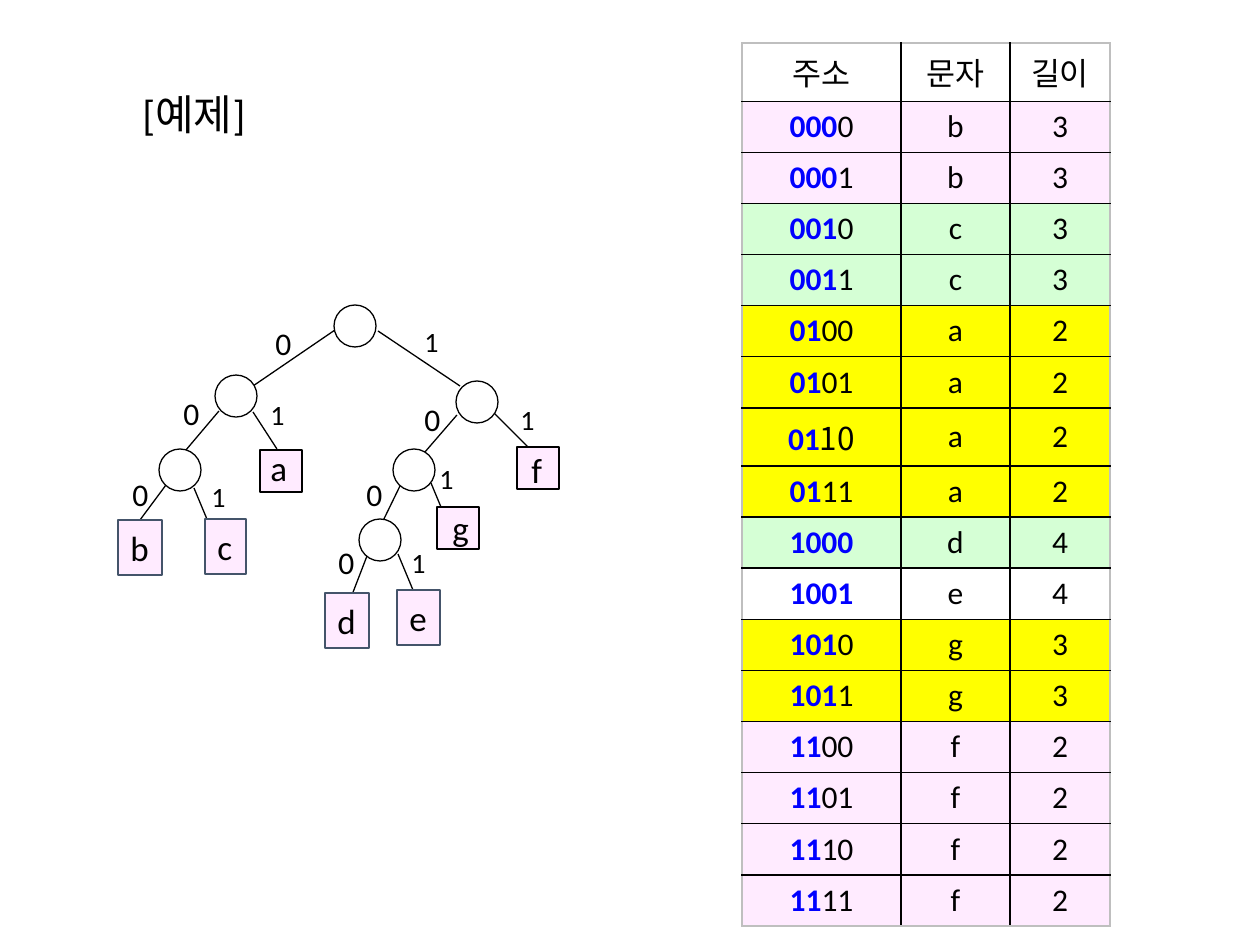
import itertools

import pptx
import pptx.dml.color
import pptx.enum.shapes
import pptx.enum.text
import pptx.oxml
import pptx.oxml.ns
import pptx.util

TITLE = "[예제]"
HEADERS = ["주소", "문자", "길이"]
ADDRESS_BITS = 4
CODES = [("b", "000", "pink"), ("c", "001", "green"), ("a", "01", "yellow"),
         ("d", "1000", "green"), ("e", "1001", "white"),
         ("g", "101", "yellow"), ("f", "11", "pink")]
KOREAN_FONT_SUFFIXES = {"0110"}  # addresses whose tail is set in the Korean font

# Lengths in px
TITLE_BOX = (105, 82, 178, 63)
TABLE_ORIGIN = (742, 43)
COLUMN_WIDTHS = [159, 109, 100]
HEADER_HEIGHT, ROW_HEIGHT = 58, 51
NODE_SIZE = 42
NODES = [(334, 305), (215, 375), (456, 381), (159, 449), (393, 449), (359, 519)]
# For each node: the 0 branch, then the 1 branch, as (from, to, label corner)
BRANCHES = [
    [((335, 330), (253, 386), (263, 318)), ((378, 331), (460, 386), (412, 318))],
    [((219, 411), (186, 450), (171, 388)), ((253, 412), (277, 449), (258, 391))],
    [((457, 415), (425, 452), (412, 394)), ((494, 413), (528, 447), (508, 396))],
    [((169, 481), (141, 520), (120, 469)), ((194, 488), (209, 524), (199, 473))],
    [((401, 484), (382, 523), (354, 469)), ((431, 483), (446, 519), (427, 455))],
    [((367, 556), (352, 595), (326, 537)), ((398, 554), (413, 590), (399, 539))],
]
LEAVES = {"b": (118, 520, 44, 55), "c": (205, 519, 41, 55),
          "d": (325, 593, 44, 55), "e": (397, 590, 43, 55)}
# Square leaves: corner of the square, then the box of its letter
SQUARE_LEAVES = {"a": ((260, 450), (258, 440, 44, 55)),
                 "f": ((517, 447), (519, 442, 37, 55)),
                 "g": ((437, 507), (440, 500, 43, 55))}
BIT_LABELS = {"0": (43, 50), "1": (39, 46)}

THEME = {
    "latin": "Calibri", "korean": "Noto Sans CJK KR",
    "black": "000000", "white": "FFFFFF", "blue": "0000FF", "slate": "44546A",
    "gray": "BFBFBF", "pink": "FFEBFF", "green": "D5FFD5", "yellow": "FFFF00",
    "title": 24, "leaf": 20, "table": 18, "0": 18, "1": 16, "line": 0.75, "border": 1,
}


def px(length):
    return pptx.util.Emu(round(length * 914400 / 126))


def box(values):
    return [px(value) for value in values]


def color(name):
    return pptx.dml.color.RGBColor.from_string(THEME[name])


def style_font(font, size, color_name="black", face="latin", bold=False):
    font.name, font.size, font.bold = THEME[face], pptx.util.Pt(THEME[size]), bold
    font.color.rgb = color(color_name)


def style_shape(shape, fill, line="black"):
    shape.shadow.inherit = False
    shape.fill.solid()
    shape.fill.fore_color.rgb = color(fill)
    shape.line.color.rgb = color(line)
    shape.line.width = pptx.util.Pt(THEME["line"])


def write(shape, text, size):
    """Put one left-aligned, unwrapped line at the top of the shape."""
    frame = shape.text_frame
    frame.word_wrap = False
    frame.vertical_anchor = pptx.enum.text.MSO_ANCHOR.TOP
    paragraph = frame.paragraphs[0]
    paragraph.text = text
    paragraph.alignment = pptx.enum.text.PP_ALIGN.LEFT
    style_font(paragraph.font, size)


def add_title(slide):
    title = slide.shapes.title
    title.left, title.top, title.width, title.height = box(TITLE_BOX)
    frame = title.text_frame
    frame.text = TITLE
    frame.auto_size = pptx.enum.text.MSO_AUTO_SIZE.NONE
    frame.vertical_anchor = pptx.enum.text.MSO_ANCHOR.TOP
    frame.paragraphs[0].alignment = pptx.enum.text.PP_ALIGN.CENTER
    style_font(frame.paragraphs[0].font, "title")


def set_borders(cell, outer_sides):
    properties = cell._tc.get_or_add_tcPr()
    width = pptx.util.Pt(THEME["border"])
    for position, side in enumerate(("L", "R", "T", "B")):
        line_color = THEME["gray" if side in outer_sides else "black"]
        properties.insert(position, pptx.oxml.parse_xml(
            f'<a:ln{side} {pptx.oxml.ns.nsdecls("a")} w="{width}"><a:solidFill>'
            f'<a:srgbClr val="{line_color}"/></a:solidFill></a:ln{side}>'))


def fill_cell(cell, runs, fill):
    """Write centred runs, each given as (text, colour, face, bold)."""
    cell.vertical_anchor = pptx.enum.text.MSO_ANCHOR.MIDDLE
    cell.fill.solid()
    cell.fill.fore_color.rgb = color(fill)
    paragraph = cell.text_frame.paragraphs[0]
    paragraph.alignment = pptx.enum.text.PP_ALIGN.CENTER
    for text, color_name, face, bold in runs:
        run = paragraph.add_run()
        run.text = text
        style_font(run.font, "table", color_name, face, bold)
        if face == "korean":
            run.font._element.append(pptx.oxml.parse_xml(
                f'<a:ea {pptx.oxml.ns.nsdecls("a")} typeface="{THEME[face]}"/>'))


def lookup_rows():
    """Expand every code to all the addresses that begin with it."""
    rows = [("white", [[(header, "black", "korean", False)] for header in HEADERS])]
    for letter, code, fill in CODES:
        for bits in itertools.product("01", repeat=ADDRESS_BITS - len(code)):
            tail = "".join(bits)
            address = [(code, "blue", "latin", True)]
            if tail:
                face = "korean" if code + tail in KOREAN_FONT_SUFFIXES else "latin"
                address.append((tail, "black", face, False))
            rows.append((fill, [address, [(letter, "black", "latin", False)],
                                [(str(len(code)), "black", "latin", False)]]))
    return rows


def add_lookup_table(slide):
    rows = lookup_rows()
    heights = [HEADER_HEIGHT] + [ROW_HEIGHT] * (len(rows) - 1)
    table = slide.shapes.add_table(len(rows), len(HEADERS), *box(
        (*TABLE_ORIGIN, sum(COLUMN_WIDTHS), sum(heights)))).table
    for column, width in zip(table.columns, COLUMN_WIDTHS):
        column.width = px(width)
    for row_index, (fill, cells) in enumerate(rows):
        table.rows[row_index].height = px(heights[row_index])
        for column_index, runs in enumerate(cells):
            cell = table.cell(row_index, column_index)
            fill_cell(cell, runs, fill)
            edges = {"L": column_index == 0, "R": column_index == len(HEADERS) - 1,
                     "T": row_index == 0, "B": row_index == len(rows) - 1}
            set_borders(cell, [side for side, is_outer in edges.items() if is_outer])


def add_branch(shapes, start, end):
    connector = shapes.add_connector(
        pptx.enum.shapes.MSO_CONNECTOR.STRAIGHT, *box((*start, *end)))
    connector.line.color.rgb = color("black")
    connector.line.width = pptx.util.Pt(THEME["line"])
    connector._element.spPr.append(
        pptx.oxml.parse_xml(f'<a:effectLst {pptx.oxml.ns.nsdecls("a")}/>'))
    return connector


def add_tree(slide):
    shapes = slide.shapes.add_group_shape().shapes
    kinds = pptx.enum.shapes.MSO_SHAPE
    connectors = [[add_branch(shapes, start, end) for start, end, _ in pair]
                  for pair in BRANCHES]
    for corner in NODES:
        style_shape(shapes.add_shape(
            kinds.OVAL, *box((*corner, NODE_SIZE, NODE_SIZE))), "white")
    leaves = {}
    for letter, place in LEAVES.items():
        leaves[letter] = shapes.add_shape(kinds.RECTANGLE, *box(place))
        style_shape(leaves[letter], "pink", "slate")
        write(leaves[letter], letter, "leaf")
    connectors[3][0].end_connect(leaves["b"], 0)
    for letter, (corner, letter_box) in SQUARE_LEAVES.items():
        style_shape(shapes.add_shape(
            kinds.RECTANGLE, *box((*corner, NODE_SIZE, NODE_SIZE))), "pink")
        write(shapes.add_textbox(*box(letter_box)), letter, "leaf")
    for pair in BRANCHES:
        for (bit, size), (_, _, corner) in zip(BIT_LABELS.items(), pair):
            write(shapes.add_textbox(*box((*corner, *size))), bit, bit)


def main():
    presentation = pptx.Presentation()
    presentation.slide_width, presentation.slide_height = box((1260, 945))
    slide = presentation.slides.add_slide(presentation.slide_layouts[5])
    add_lookup_table(slide)
    add_tree(slide)
    add_title(slide)
    presentation.save("out.pptx")


if __name__ == "__main__":
    main()
